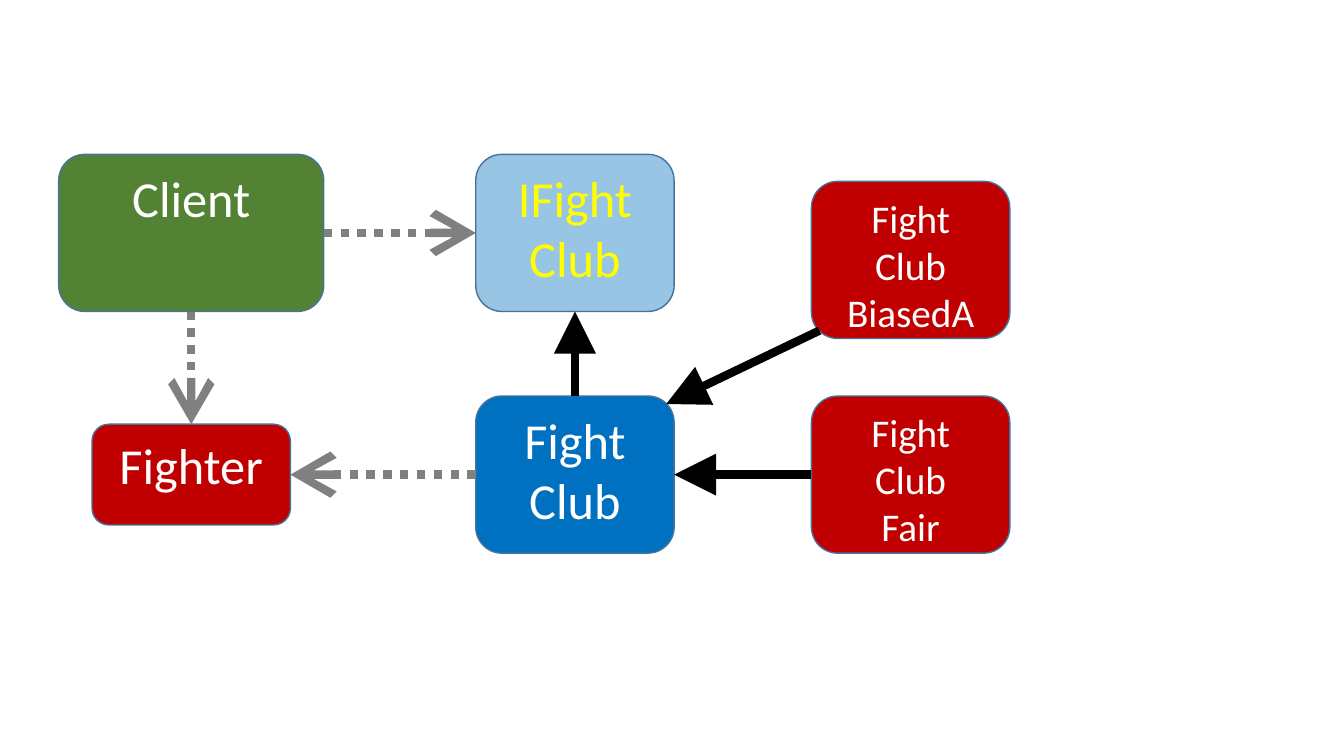
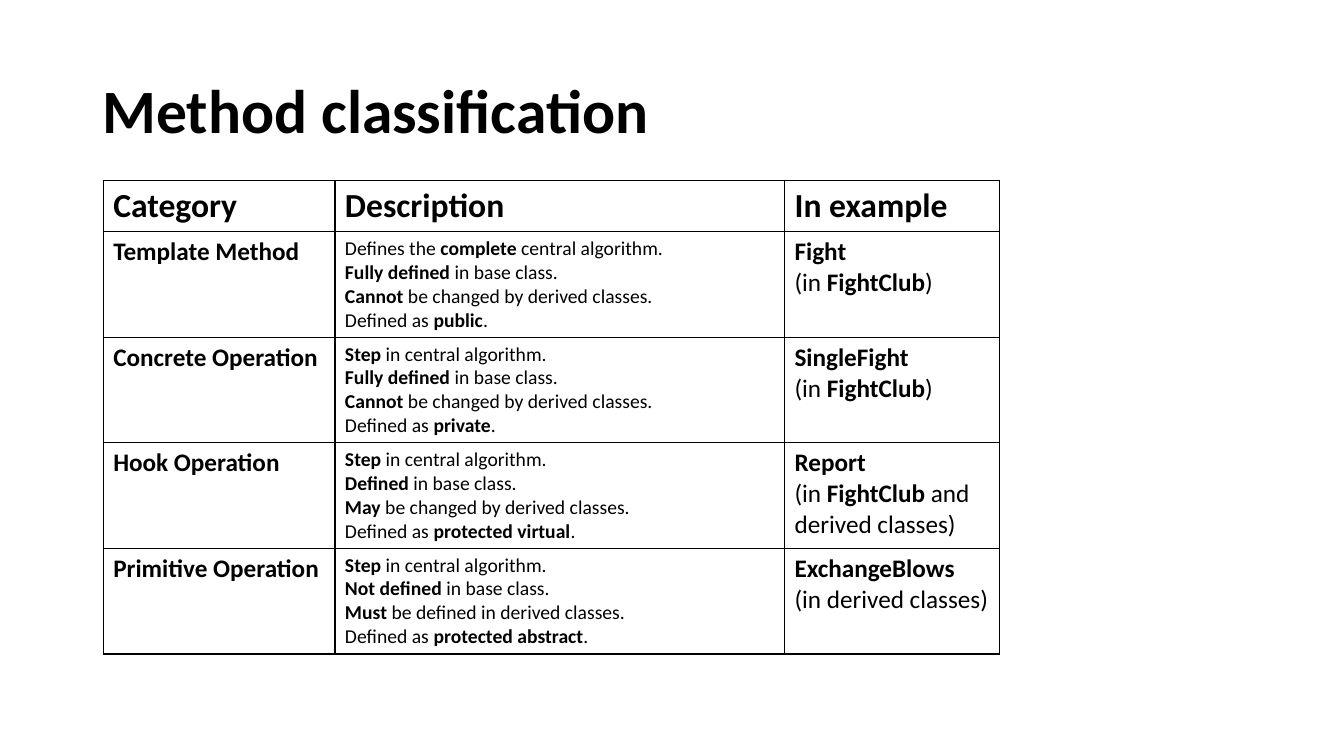
"""Builds a class diagram slide and a method classification table."""
from lxml.etree import SubElement
from pptx import Presentation
from pptx.dml.color import RGBColor
from pptx.enum.dml import MSO_LINE
from pptx.enum.shapes import MSO_CONNECTOR, MSO_SHAPE
from pptx.enum.text import MSO_ANCHOR, PP_ALIGN
from pptx.oxml.ns import qn
from pptx.util import Cm, Pt

FONT = "Calibri"
BLACK, WHITE, GRAY, EDGE = "000000", "FFFFFF", "808080", "43739E"
GREEN, RED, BLUE, YELLOW = "548235", "C00000", "0070C0", "FFFF00"
TOP, LEFT, BOTTOM, RIGHT = range(4)

COLS = (4.82, 14.49, 22.95)
UPPER, LOWER = 5.87, 11.96
WIDE, HIGH, INSET = 5, 3.96, 0.2
BOXES = {
    "client": ("Client", COLS[0], UPPER, 6.68, HIGH, GREEN, WHITE, 36),
    "fighter": ("Fighter", COLS[0], LOWER, WIDE, 2.54, RED, WHITE, 36),
    "face": ("IFight\nClub", COLS[1], UPPER, WIDE, HIGH, BLUE, YELLOW, 36),
    "club": ("Fight\nClub", COLS[1], LOWER, WIDE, HIGH, BLUE, WHITE, 36),
    "biased": ("Fight\nClub\nBiasedA", COLS[2], 6.55, WIDE, HIGH, RED, WHITE, 28),
    "fair": ("Fight\nClub\nFair", COLS[2], LOWER, WIDE, HIGH, RED, WHITE, 28),
}
USES = [
    ("client", RIGHT, "face", LEFT),
    ("client", BOTTOM, "fighter", TOP),
    ("club", LEFT, "fighter", RIGHT),
]
DERIVES = [("club", TOP, "face", BOTTOM), ("fair", LEFT, "club", RIGHT)]

TITLE = "Method classification"
WIDTHS = (5.84, 11.33, 5.41)
HEAD = ("*Category*", "*Description*", "*In example*")
ROWS = [
    ("*Template Method*",
     "Defines the *complete* central algorithm.\n*Fully defined* in base class.\n"
     "*Cannot* be changed by derived classes.\nDefined as *public*.",
     "*Fight*\n(in *FightClub*)"),
    ("*Concrete Operation*",
     "*Step* in central algorithm.\n*Fully defined* in base class.\n"
     "*Cannot* be changed by derived classes.\nDefined as *private*.",
     "*SingleFight*\n(in *FightClub*)"),
    ("*Hook Operation*",
     "*Step* in central algorithm.\n*Defined* in base class.\n"
     "*May* be changed by derived classes.\nDefined as *protected virtual*.",
     "*Report*\n(in *FightClub* and\nderived classes)"),
    ("*Primitive Operation*",
     "*Step* in central algorithm.\n*Not defined* in base class.\n"
     "*Must* be defined in derived classes.\nDefined as *protected abstract*.",
     "*ExchangeBlows*\n(in derived classes)"),
]


def rgb(code):
    return RGBColor.from_string(code)


def style(font, size, color, bold=False):
    font.name, font.size, font.bold = FONT, Pt(size), bold
    font.color.rgb = rgb(color)


def add_box(slide, text, mid, row, wide, high, fill, color, size):
    box = slide.shapes.add_shape(
        MSO_SHAPE.ROUNDED_RECTANGLE,
        Cm(mid - wide / 2), Cm(row - high / 2), Cm(wide), Cm(high))
    box.shadow.inherit = False
    box.fill.solid()
    box.fill.fore_color.rgb = rgb(fill)
    box.line.color.rgb = rgb(EDGE)
    box.line.width = Pt(1)
    frame = box.text_frame
    frame.text = text
    frame.word_wrap = True
    frame.vertical_anchor = MSO_ANCHOR.TOP
    for para in frame.paragraphs:
        para.alignment = PP_ALIGN.CENTER
        for run in para.runs:
            style(run.font, size, color)
    return box


def add_arrow(slide, color, head, ends=(0, 0, 0, 0)):
    arrow = slide.shapes.add_connector(MSO_CONNECTOR.STRAIGHT, *ends)
    arrow.line.color.rgb = rgb(color)
    arrow.line.width = Pt(6)
    if head == "arrow":
        arrow.line.dash_style = MSO_LINE.ROUND_DOT
    props = arrow.element.spPr
    SubElement(props.find(qn("a:ln")), qn("a:tailEnd"), type=head, w="lg", len="lg")
    SubElement(props, qn("a:effectLst"))
    return arrow


def draw_classes(deck):
    slide = deck.slides.add_slide(deck.slide_layouts[6])
    boxes = {key: add_box(slide, *box) for key, box in BOXES.items()}
    tint = boxes["face"].element.spPr.find(".//" + qn("a:srgbClr"))
    SubElement(tint, qn("a:alpha"), val="40000")
    for links, color, head in ((USES, GRAY, "arrow"), (DERIVES, BLACK, "triangle")):
        for start, side, end, goal in links:
            arrow = add_arrow(slide, color, head)
            arrow.begin_connect(boxes[start], side)
            arrow.end_connect(boxes[end], goal)
    club, biased, gap = boxes["club"], boxes["biased"], Cm(INSET)
    add_arrow(slide, BLACK, "triangle", (
        biased.left + gap, biased.top + biased.height - gap,
        club.left + club.width - gap, club.top + gap))


def fill_cell(cell, text, size):
    cell.text_frame.text = text.replace("*", "")
    for para, line in zip(cell.text_frame.paragraphs, text.split("\n")):
        para.clear()
        for part, words in enumerate(line.split("*")):
            if words:
                run = para.add_run()
                run.text = words
                style(run.font, size, BLACK, part % 2 == 1)
    props = cell._tc.get_or_add_tcPr()
    for side in "LRTB":
        edge = SubElement(props, qn("a:ln" + side), w=str(Pt(1)))
        paint = SubElement(edge, qn("a:solidFill"))
        SubElement(paint, qn("a:srgbClr"), val=BLACK)
    cell.fill.background()


def draw_table(deck):
    slide = deck.slides.add_slide(deck.slide_layouts[5])
    title = slide.shapes.title
    title.left, title.top, title.width, title.height = map(Cm, (2.33, 1.01, 29.21, 3.68))
    title.text_frame.text = TITLE
    title.text_frame.vertical_anchor = MSO_ANCHOR.MIDDLE
    para = title.text_frame.paragraphs[0]
    para.alignment, para.line_spacing = PP_ALIGN.LEFT, 0.9
    style(para.runs[0].font, 44, BLACK, True)

    highs = [1.29] + [2.66] * len(ROWS)
    table = slide.shapes.add_table(
        len(highs), len(WIDTHS), Cm(2.6), Cm(4.55),
        Cm(sum(WIDTHS)), Cm(sum(highs))).table
    table.first_row = table.horz_banding = False
    for col, wide in zip(table.columns, WIDTHS):
        col.width = Cm(wide)
    for row, high in zip(table.rows, highs):
        row.height = Cm(high)
    for y, texts in enumerate([HEAD] + ROWS):
        sizes = (18, 14, 18) if y else (24, 24, 24)
        for x, (text, size) in enumerate(zip(texts, sizes)):
            fill_cell(table.cell(y, x), text, size)


def main():
    deck = Presentation()
    deck.slide_width, deck.slide_height = Cm(33.87), Cm(19.05)
    draw_classes(deck)
    draw_table(deck)
    deck.save("out.pptx")


if __name__ == "__main__":
    main()
